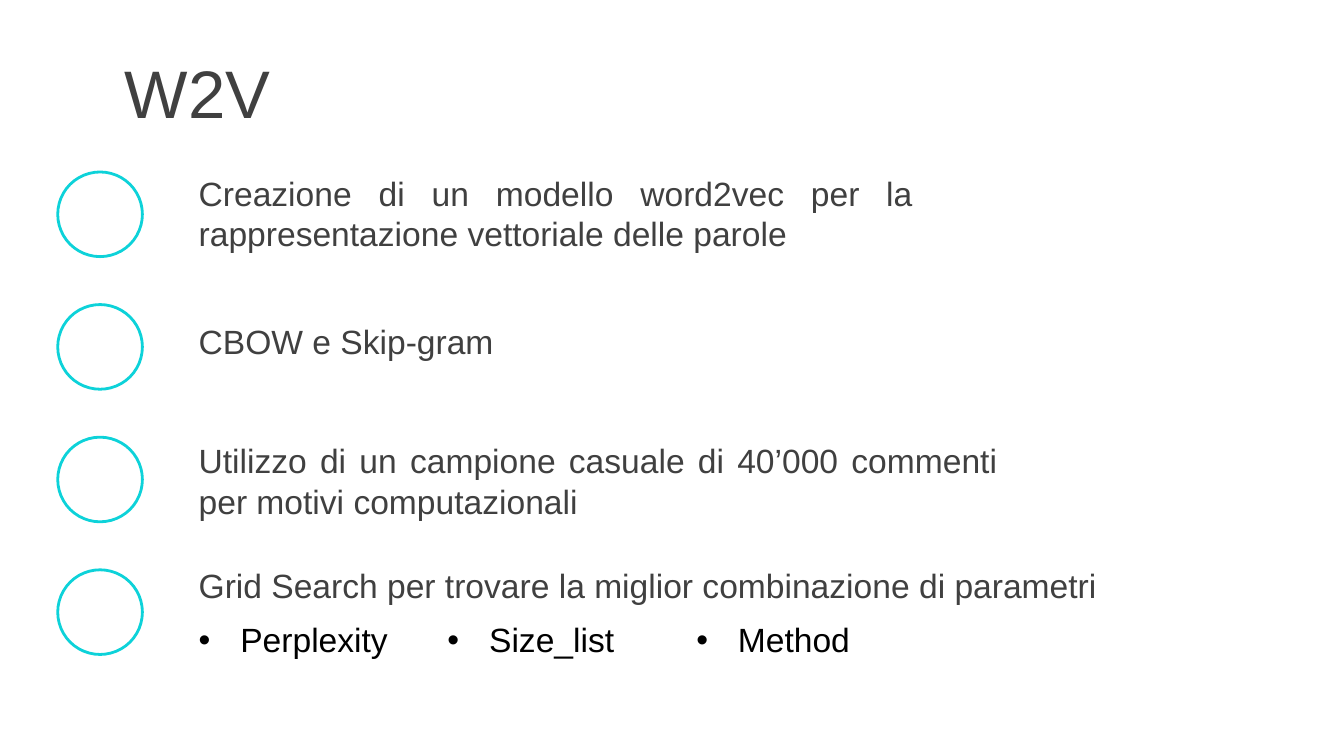
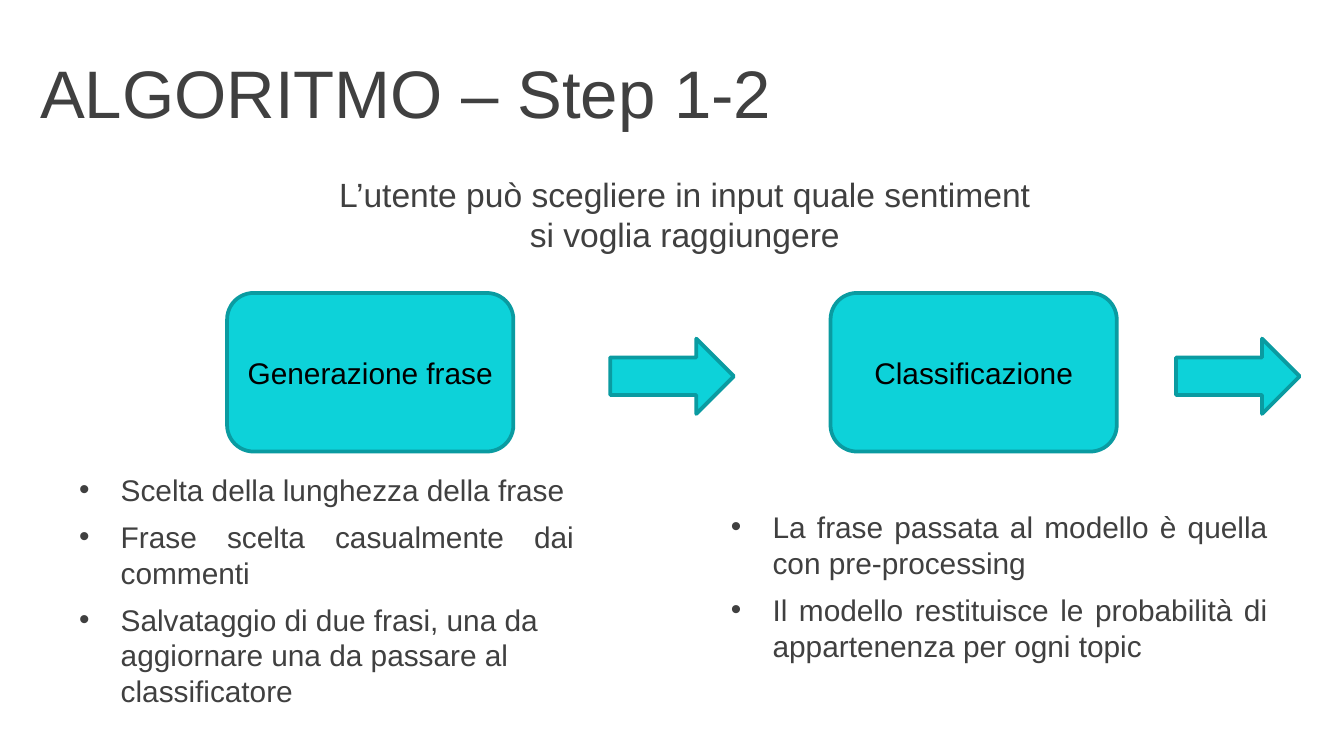
"""Build two slides: the W2V model and the first steps of the algorithm."""
from lxml.etree import SubElement
from pptx import Presentation
from pptx.dml.color import RGBColor
from pptx.enum.shapes import MSO_SHAPE as Kind
from pptx.enum.text import MSO_ANCHOR as Anchor, PP_ALIGN as Align
from pptx.oxml.ns import qn
from pptx.util import Inches, Pt

HUES = {"text": "404040", "black": "000000", "white": "FFFFFF",
        "cyan": "0DD2D9", "teal": "0A9BA1"}
FONT = "Arial"
WIDTH = 10
HEIGHT = WIDTH * 9 / 16
LEFT, MID, JUST = Align.LEFT, Align.CENTER, Align.JUSTIFY

POINTS = [
    ("Creazione di un modello word2vec per la rappresentazione vettoriale delle parole",
     1.23, 5.51, 0.71),
    ("CBOW e Skip-gram", 2.34, 5.51, 0.4),
    ("Utilizzo di un campione casuale di 40’000 commenti per motivi computazionali",
     3.22, 6.14, 0.71),
    ("Grid Search per trovare la miglior combinazione di parametri", 4.15, 7.09, 0.4),
]
FIRST, LAST = 1.28, 4.24
PARAMS = ["Perplexity", "Size_list", "Method"]
INTRO = "L’utente può scegliere in input quale sentiment si voglia raggiungere"
STEPS = [
    {"name": "Generazione frase", "left": 1.69, "arrow": 4.54,
     "area": (0.49, 3.45, 3.88, 1.88),
     "notes": ["Scelta della lunghezza della frase",
               "Frase scelta casualmente dai commenti",
               "Salvataggio di due frasi, una da aggiornare una da passare al classificatore"],
     "align": [JUST, JUST, LEFT]},
    {"name": "Classificazione", "left": 6.18, "arrow": 8.75,
     "area": (5.34, 3.73, 4.19, 1.26),
     "notes": ["La frase passata al modello è quella con pre-processing",
               "Il modello restituisce le probabilità di appartenenza per ogni topic"],
     "align": [JUST, JUST]},
]


def color(name):
    return RGBColor.from_string(HUES[name])


def write(slide, area, lines, size=18, hue="text", align=(LEFT,),
          anchor=Anchor.MIDDLE, bullet=False, gap=0, cols=1):
    frame = slide.shapes.add_textbox(*map(Inches, area)).text_frame
    frame.word_wrap = True
    frame.vertical_anchor = anchor
    if cols > 1:
        frame._txBody.bodyPr.set("numCol", str(cols))
    for i, line in enumerate(lines):
        para = frame.paragraphs[0] if i == 0 else frame.add_paragraph()
        para.alignment = align[i % len(align)]
        if i and gap:
            para.space_before = Pt(gap)
        if bullet:
            props = para._p.get_or_add_pPr()
            props.set("marL", str(Inches(0.31)))
            props.set("indent", str(-Inches(0.31)))
            SubElement(props, qn("a:buFont")).set("typeface", FONT)
            SubElement(props, qn("a:buChar")).set("char", "•")
        run = para.add_run()
        run.text = line
        run.font.name = FONT
        run.font.size = Pt(size)
        run.font.color.rgb = color(hue)


def draw(slide, kind, area, fill, line, width):
    shape = slide.shapes.add_shape(kind, *map(Inches, area))
    shape.shadow.inherit = False
    shape.fill.solid()
    shape.fill.fore_color.rgb = color(fill)
    shape.line.color.rgb = color(line)
    shape.line.width = Pt(width)


def start(deck, title, left):
    slide = deck.slides.add_slide(deck.slide_layouts[6])
    write(slide, (left, 0.37, WIDTH - left, 0.63), [title], size=36)
    return slide


def model(deck):
    slide = start(deck, "W2V", 0.83)
    pitch = (LAST - FIRST) / (len(POINTS) - 1)
    for i, (text, top, width, height) in enumerate(POINTS):
        draw(slide, Kind.OVAL, (0.43, FIRST + i * pitch, 0.63, 0.63),
             "white", "cyan", 1.5)
        write(slide, (1.38, top, width, height), [text], align=[JUST])
    write(slide, (1.38, 4.56, 5.75, 0.4), PARAMS, hue="black",
          anchor=Anchor.TOP, bullet=True, cols=3)


def steps(deck):
    slide = start(deck, "ALGORITMO – Step 1-2", 0.2)
    write(slide, (2.42, 1.24, 5.35, 0.71), [INTRO], align=[MID])
    for step in STEPS:
        left = step["left"]
        draw(slide, Kind.ROUNDED_RECTANGLE, (left, 2.18, 2.13, 1.18),
             "cyan", "teal", 2)
        write(slide, (left - 0.18, 2.59, 2.49, 0.37), [step["name"]], size=16,
              hue="black", align=[MID], anchor=Anchor.TOP)
        write(slide, step["area"], step["notes"], size=16,
              align=step["align"], bullet=True, gap=6)
        draw(slide, Kind.RIGHT_ARROW, (step["arrow"], 2.52, 0.92, 0.56),
             "cyan", "teal", 2)


def main():
    deck = Presentation()
    deck.slide_width, deck.slide_height = Inches(WIDTH), Inches(HEIGHT)
    model(deck)
    steps(deck)
    deck.save("out.pptx")


if __name__ == "__main__":
    main()
